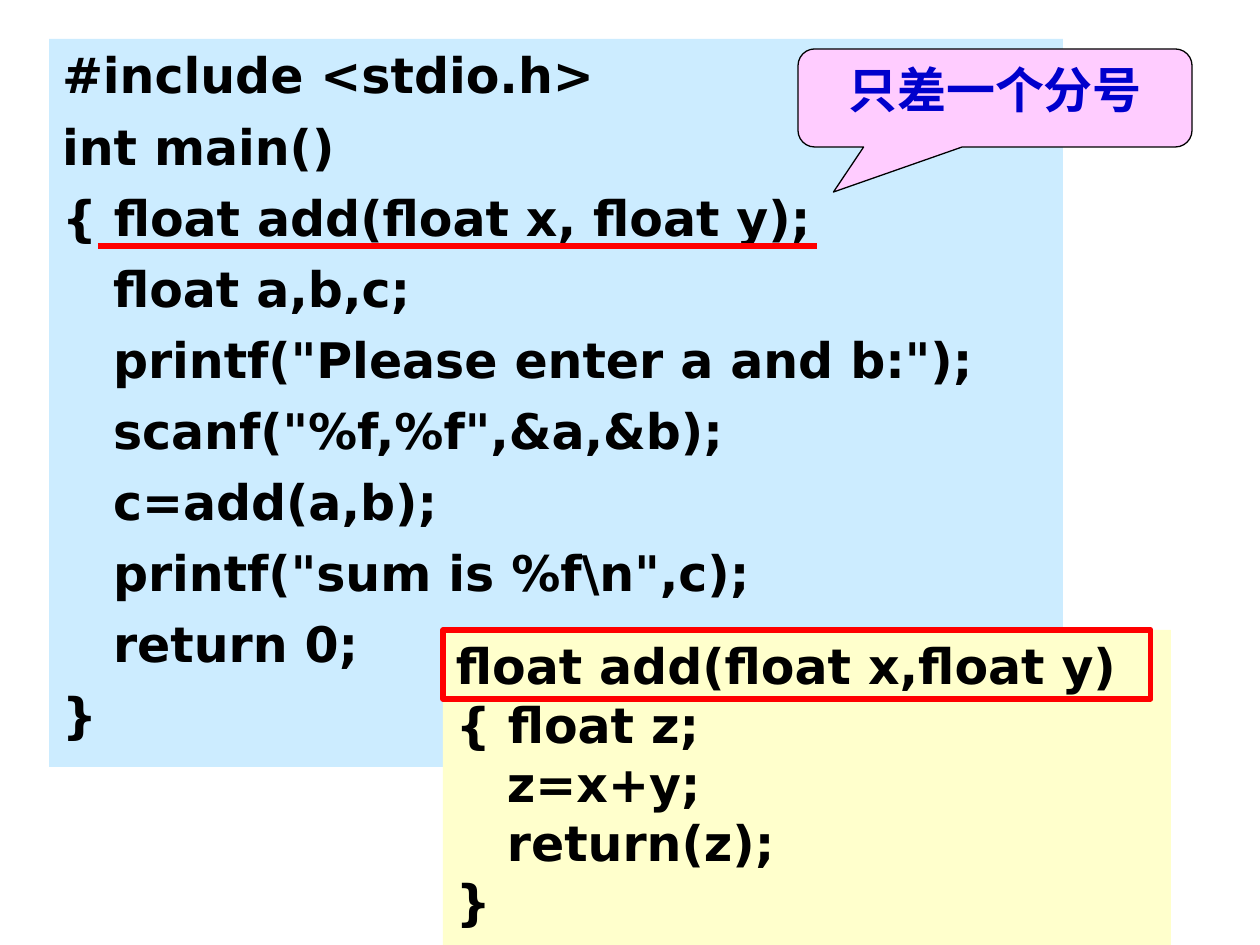
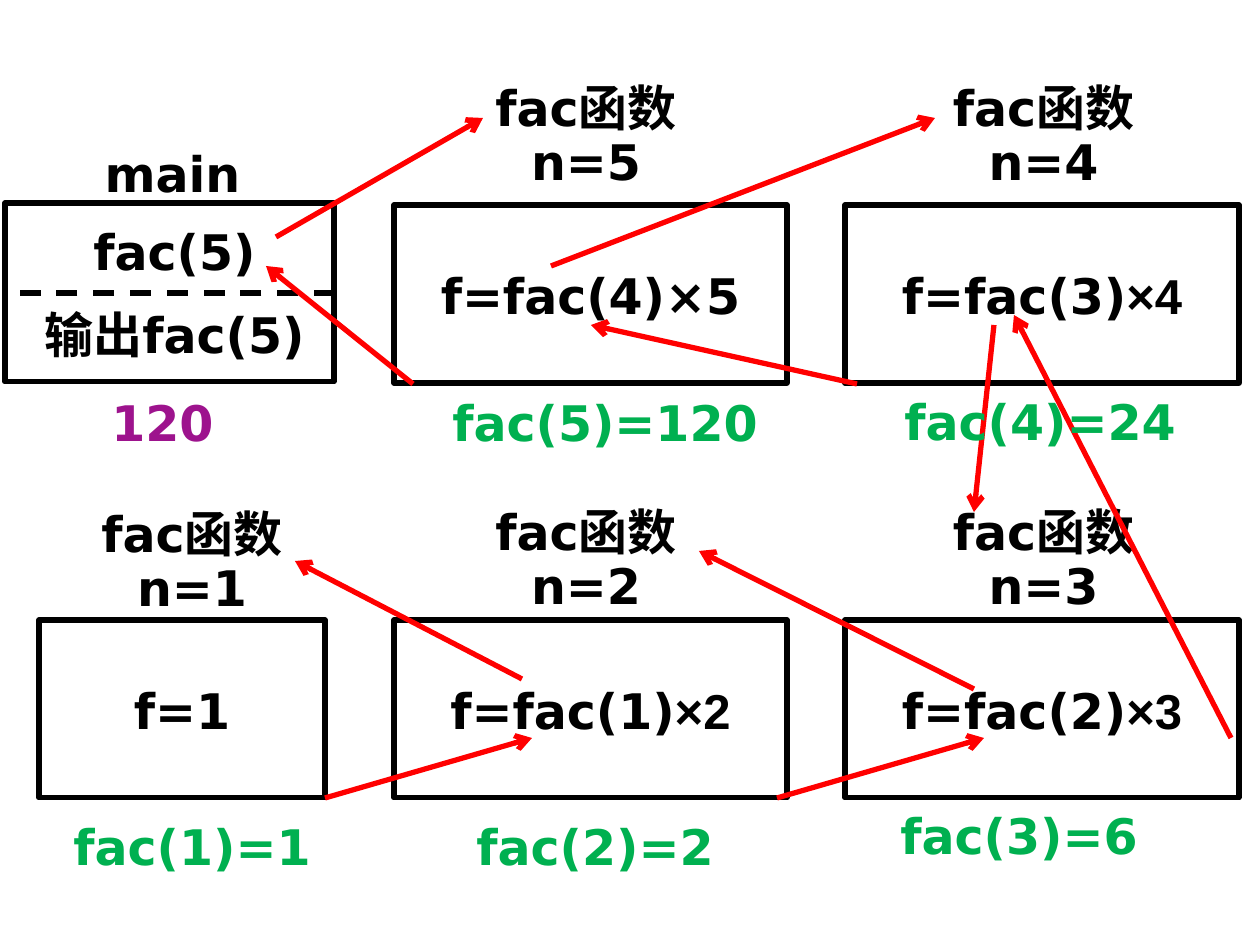
from lxml import etree
from pptx import Presentation
from pptx.dml.color import RGBColor
from pptx.enum.dml import MSO_LINE_DASH_STYLE as DASH
from pptx.enum.shapes import MSO_CONNECTOR, MSO_SHAPE
from pptx.enum.text import MSO_ANCHOR, PP_ALIGN
from pptx.oxml.ns import qn
from pptx.util import Pt

PX = 914400 / 126
COLORS = {
    "black": "000000", "red": "FF0000", "blue": "0000CC", "green": "00B050",
    "purple": "9D138D", "sky": "CCECFF", "cream": "FFFFCC", "pink": "FFCCFF",
}
CODE_FONT, PLAIN_FONT = "DejaVu Sans", "Arial"
LABEL_LEADING = Pt(24)
RESULT_SIZE = (384, 78)

MAIN_CODE = r'''#include <stdio.h>
int main()
{ float add(float x, float y);
   float a,b,c;
   printf("Please enter a and b:");
   scanf("%f,%f",&a,&b);
   c=add(a,b);
   printf("sum is %f\n",c);
   return 0;
}'''
ADD_CODE = '''float add(float x,float y)
{ float z;
   z=x+y;
   return(z);
}'''

# frame box, n, formula parts, title offset and width, result offset, value
FAC_CALLS = [
    ((394, 205, 393, 178), 5, ["f=fac(4)×5"], (0, -117, 384), (19, 198), 120),
    ((845, 205, 394, 178), 4, ["f=fac(3)", "×4"], (2, -117, 393), (3, 197), 24),
    ((845, 620, 394, 178), 3, ["f=fac(2)", "×3"], (2, -108, 393), (-18, 196), 6),
    ((394, 620, 393, 178), 2, ["f=fac(1)", "×2"], (0, -108, 384), (9, 207), 2),
    ((39, 620, 286, 178), 1, ["f=1"], (-39, -106, 384), (-39, 207), 1),
]
CALL_ARROWS = [
    (276, 237, 483, 118), (551, 266, 935, 118), (994, 325, 974, 512),
    (974, 689, 699, 551), (522, 679, 295, 561),
]
RETURN_ARROWS = [
    (325, 798, 532, 738), (777, 798, 984, 738), (1231, 738, 1014, 315),
    (857, 384, 591, 325), (413, 384, 266, 266),
]


def px(n):
    return round(n * PX)


def rgb(name):
    return RGBColor.from_string(COLORS[name])


def write(sp, lines, color="black", font=CODE_FONT, align=PP_ALIGN.CENTER,
          leading=None, gap=7, top=6):
    """Fill a shape; a line is a string or a list of runs, the second in Arial."""
    tf = sp.text_frame
    tf.word_wrap = True
    tf.vertical_anchor = MSO_ANCHOR.TOP
    tf.margin_left = tf.margin_right = px(13)
    tf.margin_top, tf.margin_bottom = px(top), px(6)
    for i, line in enumerate(lines):
        p = tf.add_paragraph() if i else tf.paragraphs[0]
        p.alignment = align
        p.line_spacing = leading
        p.space_before = Pt(gap if i else 0)
        p.font.size, p.font.bold = Pt(28), True
        p.font.color.rgb = rgb(color)
        parts = [line] if isinstance(line, str) else line
        for part, name in zip(parts, (font, PLAIN_FONT)):
            r = p.add_run()
            r.text, r.font.name = part, name


def add_box(slide, box, fill=None, line=None, weight=3, kind=MSO_SHAPE.RECTANGLE):
    sp = slide.shapes.add_shape(kind, *map(px, box))
    sp.shadow.inherit = False
    if fill:
        sp.fill.solid()
        sp.fill.fore_color.rgb = rgb(fill)
    else:
        sp.fill.background()
    if line:
        sp.line.color.rgb = rgb(line)
        sp.line.width = Pt(weight)
    else:
        sp.line.fill.background()
    return sp


def add_label(slide, box, lines, color="black", leading=LABEL_LEADING):
    sp = slide.shapes.add_textbox(*map(px, box))
    write(sp, lines, color, leading=leading)


def add_line(slide, ends, color="red", dash=None, arrow=False):
    c = slide.shapes.add_connector(MSO_CONNECTOR.STRAIGHT, *map(px, ends))
    c.line.color.rgb = rgb(color)
    c.line.width = Pt(3)
    if dash:
        c.line.dash_style = dash
    if arrow:
        etree.SubElement(c.line._get_or_add_ln(), qn("a:tailEnd"), type="arrow")
    etree.SubElement(c._element.spPr, qn("a:effectLst"))


def code_panel(slide, box, code, fill, gap):
    sp = add_box(slide, box, fill)
    write(sp, code.split("\n"), align=PP_ALIGN.LEFT, gap=gap)


def callout(slide, box, text):
    sp = add_box(slide, box, "pink", "black", 0.75,
                 MSO_SHAPE.ROUNDED_RECTANGULAR_CALLOUT)
    for i, value in enumerate((-0.41, 0.96, 0.17)):
        sp.adjustments[i] = value
    write(sp, [text], "blue", PLAIN_FONT)


def main_frame(slide, box):
    """The main program: its name, the call, the output step and the result."""
    x, y, w, h = box
    add_box(slide, box, line="black")
    add_label(slide, (x + 5, y + 1, w, h), ["fac(5)", "输出fac(5)"], leading=1.2)
    add_label(slide, (x + 64, y - 77, 207, 88), ["main"], leading=1.2)
    add_line(slide, (x + w + 1, y + 90, x + 5, y + 90), "black", DASH.DASH)
    add_label(slide, (x + 44, y + 200, 227, 59), ["120"], "purple")


def fac_frame(slide, box, n, formula, title):
    """One call of fac: a frame with its formula, and the title above it."""
    x, y, w, h = box
    dx, dy, title_w = title
    write(add_box(slide, box, line="black"), [formula], leading=1.2, top=49)
    add_label(slide, (x + dx, y + dy, title_w, -dy), ["fac函数", f"n={n}"])


def fac_result(slide, box, n, offset, value):
    x, y = box[0] + offset[0], box[1] + offset[1]
    add_label(slide, (x, y, *RESULT_SIZE), [f"fac({n})={value}"], "green")


def declaration_slide(slide):
    code_panel(slide, (49, 39, 1014, 728), MAIN_CODE, "sky", gap=7)
    code_panel(slide, (443, 630, 728, 315), ADD_CODE, "cream", gap=0)
    callout(slide, (798, 49, 394, 98), "只差一个分号")
    add_line(slide, (98, 246, 817, 246))
    add_box(slide, (443, 630, 708, 69), line="red")


def recursion_slide(slide):
    main_frame(slide, (5, 203, 329, 179))
    for box, n, formula, title, _, _ in FAC_CALLS:
        fac_frame(slide, box, n, formula, title)
    for ends in CALL_ARROWS + RETURN_ARROWS:
        add_line(slide, ends, arrow=True)
    for box, n, _, _, offset, value in FAC_CALLS:
        fac_result(slide, box, n, offset, value)


def main():
    prs = Presentation()
    prs.slide_width, prs.slide_height = px(1260), px(945)
    for build in (declaration_slide, recursion_slide):
        build(prs.slides.add_slide(prs.slide_layouts[6]))
    prs.save("out.pptx")


if __name__ == "__main__":
    main()
